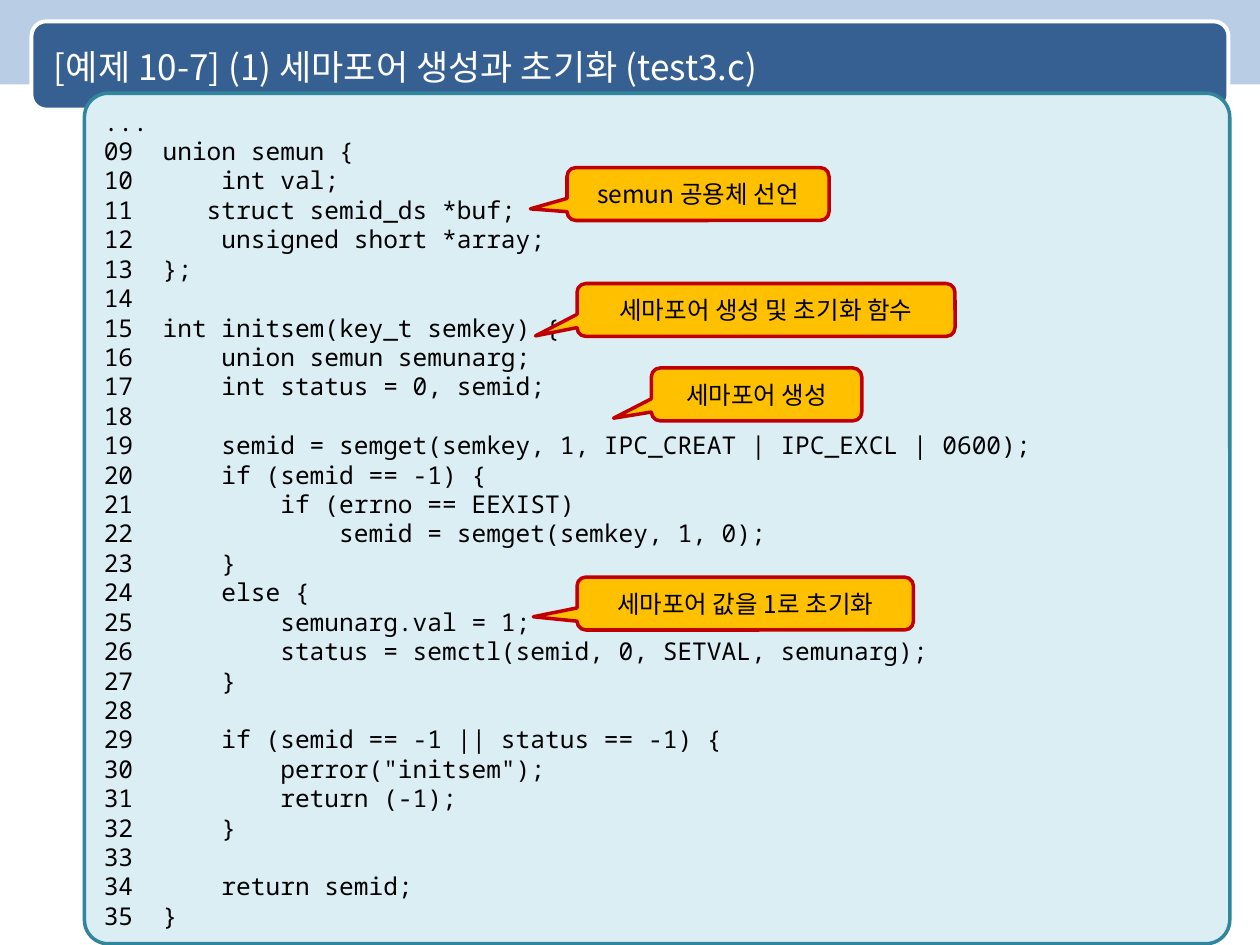
"""Build the semaphore creation and initialisation code slide."""
from lxml import etree
from pptx import Presentation
from pptx import util as u
from pptx.dml.color import RGBColor
from pptx.enum import shapes, text
from pptx.oxml import ns

COLORS = {
    "band": "B9CDE5", "header": "376092", "white": "FFFFFF", "black": "000000",
    "panel": "DBEEF4", "panel_edge": "31859C",
    "callout": "FFC000", "callout_edge": "C00000",
}
SANS, MONO = "Noto Sans CJK KR", "Noto Sans Mono"
TITLE = "[예제 10-7] (1) 세마포어 생성과 초기화 (test3.c)"
FIRST_LINE = 9
CODE = """union semun {
    int val;
   struct semid_ds *buf;
    unsigned short *array;
};

int initsem(key_t semkey) {
    union semun semunarg;
    int status = 0, semid;

    semid = semget(semkey, 1, IPC_CREAT | IPC_EXCL | 0600);
    if (semid == -1) {
        if (errno == EEXIST)
            semid = semget(semkey, 1, 0);
    }
    else {
        semunarg.val = 1;
        status = semctl(semid, 0, SETVAL, semunarg);
    }

    if (semid == -1 || status == -1) {
        perror("initsem");
        return (-1);
    }

    return semid;
}""".split("\n")
CALLOUT_HEIGHT = 0.42
CALLOUTS = [
    ("semun 공용체 선언", 4.5, 1.33, 2.08, (-0.64, 0.28)),
    ("세마포어 생성 및 초기화 함수", 4.58, 2.25, 3, (-0.61, 0.49)),
    ("세마포어 값을 1로 초기화", 4.58, 4.58, 2.67, (-0.63, 0.25)),
    ("세마포어 생성", 5.17, 2.92, 1.67, (-0.68, 0.45)),
]


def rgb(name):
    return RGBColor.from_string(COLORS[name])


def add_block(slide, kind, box, fill, edge=None, width=2, adjust=()):
    block = slide.shapes.add_shape(kind, *map(u.Inches, box))
    block.shadow.inherit = False
    block.fill.solid()
    block.fill.fore_color.rgb = rgb(fill)
    if edge:
        block.line.color.rgb = rgb(edge)
        block.line.width = u.Pt(width)
    else:
        block.line.fill.background()
    for index, value in enumerate(adjust):
        block.adjustments[index] = value
    return block


def write(block, wording, size, font, color, align, pitch=None):
    frame = block.text_frame
    frame.word_wrap = True
    frame.vertical_anchor = text.MSO_ANCHOR.MIDDLE
    frame.text = wording
    for paragraph in frame.paragraphs:
        paragraph.alignment = align
        if pitch:
            paragraph.line_spacing = u.Pt(pitch)
        for run in paragraph.runs:
            run.font.size = u.Pt(size)
            run.font.color.rgb = rgb(color)
            run.font.name = font
            etree.SubElement(run.font._element, ns.qn("a:ea"), typeface=font)


def main():
    deck = Presentation()
    deck.slide_width, deck.slide_height = u.Inches(10), u.Inches(7.5)
    slide = deck.slides.add_slide(deck.slide_layouts[6])
    kinds, align = shapes.MSO_SHAPE, text.PP_ALIGN

    add_block(slide, kinds.RECTANGLE, (-0.01, 0, 10.02, 0.67), "band")
    add_block(slide, kinds.ROUNDED_RECTANGLE, (0.25, 0.17, 9.5, 0.7),
              "header", "white", 2.25, (0.167,))
    title = slide.shapes.add_textbox(*map(u.Inches, (0.33, 0.19, 9.25, 0.67)))
    write(title, TITLE, 20, SANS, "white", align.LEFT)

    listing = ["..."] + [f"{number:02d}  {line}"
                         for number, line in enumerate(CODE, FIRST_LINE)]
    panel = add_block(slide, kinds.ROUNDED_RECTANGLE, (0.67, 0.74, 9.09, 6.75),
                      "panel", "panel_edge", adjust=(0.028,))
    write(panel, "\n".join(listing), 14, MONO, "black", align.JUSTIFY, 16.8)

    for wording, left, top, width, pointer in CALLOUTS:
        callout = add_block(slide, kinds.ROUNDED_RECTANGULAR_CALLOUT,
                            (left, top, width, CALLOUT_HEIGHT),
                            "callout", "callout_edge", adjust=(*pointer, 0.167))
        write(callout, wording, 14, SANS, "black", align.CENTER)

    deck.save("out.pptx")


if __name__ == "__main__":
    main()
